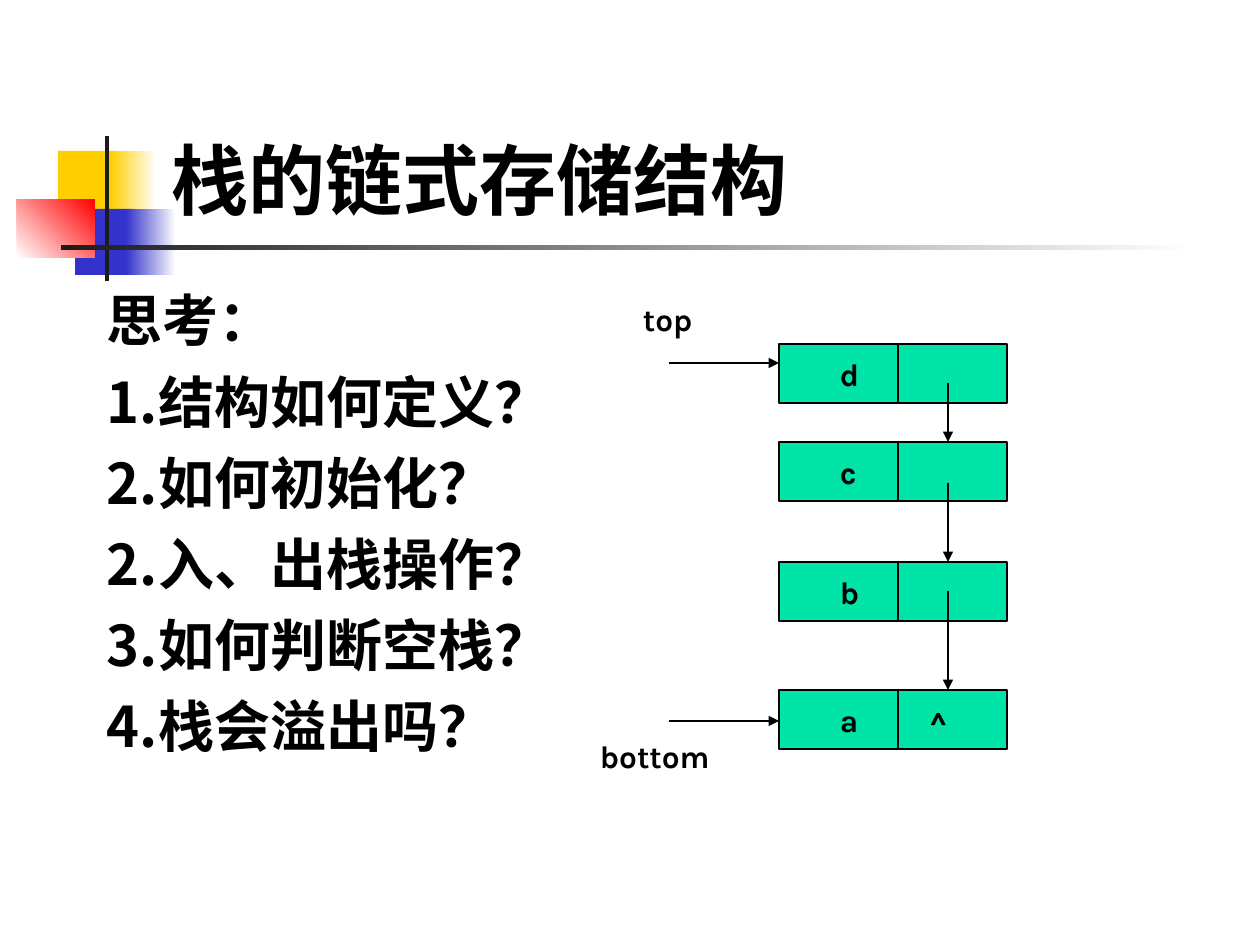
from pptx import Presentation
from pptx.dml.color import RGBColor
from pptx.enum.shapes import MSO_CONNECTOR, MSO_SHAPE
from pptx.enum.text import MSO_ANCHOR
from pptx.oxml.ns import qn
from pptx.util import Pt
from lxml.etree import SubElement

PX = 914400 // 126
BLACK = RGBColor(0, 0, 0)
WHITE = RGBColor(255, 255, 255)
YELLOW = RGBColor(0xFF, 0xCF, 0x01)
BLUE = RGBColor(0x33, 0x33, 0xCC)
RED = RGBColor(255, 0, 0)
DARK = RGBColor(0x1C, 0x1C, 0x1C)
GREEN = RGBColor(0x00, 0xE4, 0xA8)
LATIN = "Karla"
HAN = "Noto Sans CJK SC"

NODE_X, NODE_W, NODE_H = 779, 228, 59
SPLIT_X, LINK_X, ENTRY_X = 898, 948, 669
NODES = [("d", 344), ("c", 442), ("b", 562), ("a\t^", 690)]
LINKS = [(383, 442), (483, 562), (591, 690)]
ENTRIES = [363, 721]
TOPICS = ["思考：", "1.结构如何定义？", "2.如何初始化？",
          "2.入、出栈操作？", "3.如何判断空栈？", "4.栈会溢出吗？"]


def px(*nums):
    return [num * PX for num in nums]


def put_text(shape, lines, size=18, font=LATIN, anchor=MSO_ANCHOR.TOP,
             left=13, right=13, gap=0, pitch=None, hang=0, tab=0):
    """Fill a shape with left-aligned bold paragraphs."""
    frame = shape.text_frame
    frame.word_wrap = True
    frame.vertical_anchor = anchor
    frame.margin_left, frame.margin_right = px(left, right)
    frame.margin_top, frame.margin_bottom = px(6, 6)
    for num, line in enumerate(lines):
        para = frame.add_paragraph() if num else frame.paragraphs[0]
        props = para._p.get_or_add_pPr()
        props.set("algn", "l")
        if hang:
            props.set("marL", str(hang * PX))
            props.set("indent", str(-hang * PX))
        if tab:
            stops = SubElement(props, qn("a:tabLst"))
            SubElement(stops, qn("a:tab"), pos=str(tab * PX), algn="l")
        if num:
            para.space_before = Pt(gap)
        if pitch:
            para.line_spacing = Pt(pitch)
        run = para.add_run()
        run.text = line
        run.font.name = font
        run.font.size = Pt(size)
        run.font.bold = True
        run.font.color.rgb = BLACK
        SubElement(run._r.get_or_add_rPr(), qn("a:ea"), typeface=HAN)


def add_label(slide, box, lines, **style):
    put_text(slide.shapes.add_textbox(*px(*box)), lines, **style)


def add_block(slide, box, color, fade=None, angle=0):
    """Add a borderless rectangle, plain or fading to a second colour."""
    block = slide.shapes.add_shape(MSO_SHAPE.RECTANGLE, *px(*box))
    block.shadow.inherit = False
    block.line.fill.background()
    if fade is None:
        block.fill.solid()
        block.fill.fore_color.rgb = color
    else:
        block.fill.gradient()
        block.fill.gradient_angle = angle
        for stop, tone in zip(block.fill.gradient_stops, (color, fade)):
            stop.color.rgb = tone
    return block


def add_line(slide, ends, arrow=False):
    line = slide.shapes.add_connector(MSO_CONNECTOR.STRAIGHT, *px(*ends))
    line.line.color.rgb = BLACK
    line.line.width = Pt(0.75)
    if arrow:
        SubElement(line.line._get_or_add_ln(), qn("a:tailEnd"), type="triangle")
    SubElement(line._element.spPr, qn("a:effectLst"))


def add_node(slide, text, top):
    node = add_block(slide, (NODE_X, top, NODE_W, NODE_H), GREEN)
    node.line.color.rgb = BLACK
    node.line.width = Pt(0.75)
    put_text(node, [text], anchor=MSO_ANCHOR.MIDDLE, left=61, tab=90)
    add_line(slide, (SPLIT_X, top, SPLIT_X, top + NODE_H))


def add_motif(slide):
    """Add the coloured squares and the rules beside the title."""
    add_block(slide, (58, 151, 60, 66), YELLOW)
    add_block(slide, (111, 151, 45, 66), YELLOW, WHITE)
    add_block(slide, (75, 209, 58, 66), BLUE)
    add_block(slide, (126, 209, 50, 66), BLUE, WHITE)
    add_block(slide, (17, 199, 78, 59), WHITE, RED, angle=45)
    add_block(slide, (105, 136, 4, 145), DARK)
    add_block(slide, (61, 245, 1134, 5), DARK, WHITE)


def add_stack(slide):
    for text, top in NODES:
        add_node(slide, text, top)
    for start, end in LINKS:
        add_line(slide, (LINK_X, start, LINK_X, end), arrow=True)
    for y in ENTRIES:
        add_line(slide, (ENTRY_X, y, NODE_X, y), arrow=True)
    add_label(slide, (630, 294, 139, 50), ["top"])
    add_label(slide, (600, 731, 139, 50), ["bottom"], left=0, right=0)


def main():
    deck = Presentation()
    deck.slide_width, deck.slide_height = px(1260, 945)
    slide = deck.slides.add_slide(deck.slide_layouts[6])
    add_motif(slide)
    add_label(slide, (159, 29, 1074, 202), ["栈的链式存储结构"],
              size=44, anchor=MSO_ANCHOR.BOTTOM)
    add_label(slide, (94, 280, 1139, 567), TOPICS,
              size=32, font=HAN, gap=8, pitch=38.4, hang=48)
    add_stack(slide)
    deck.save("out.pptx")


if __name__ == "__main__":
    main()
